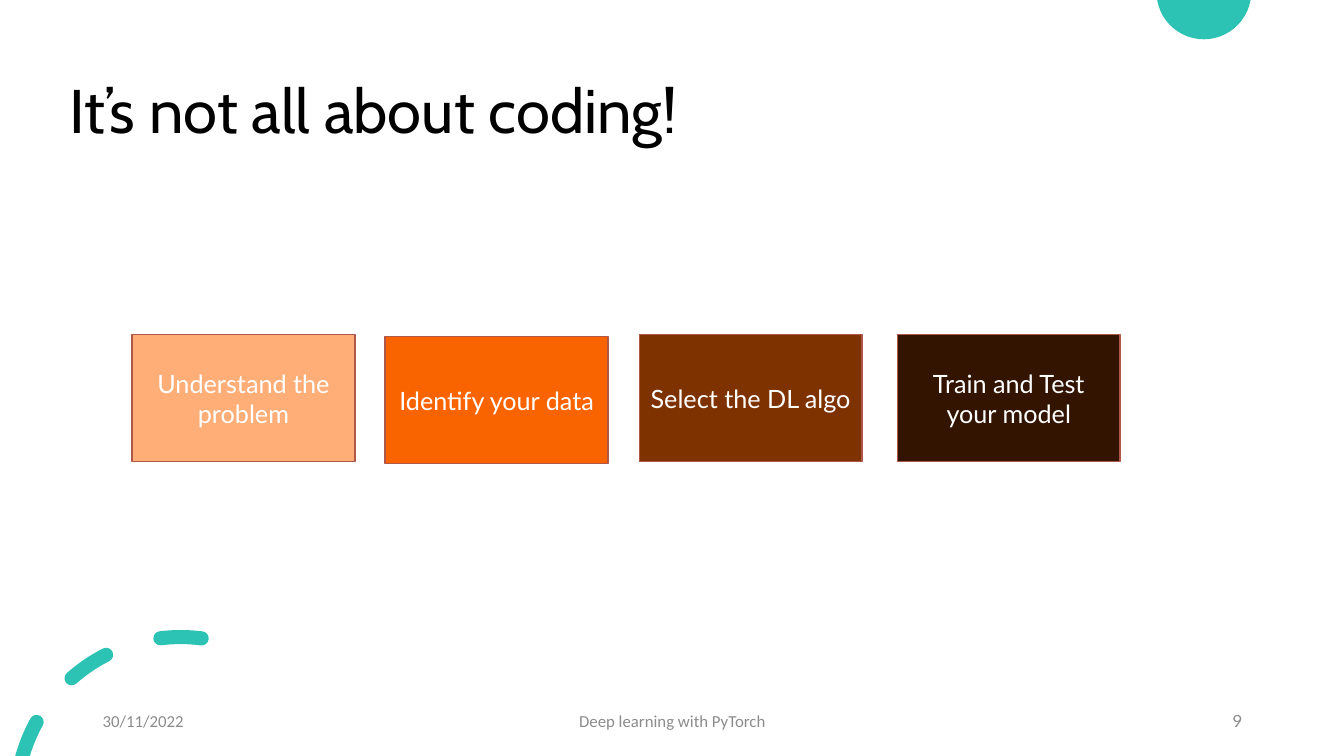
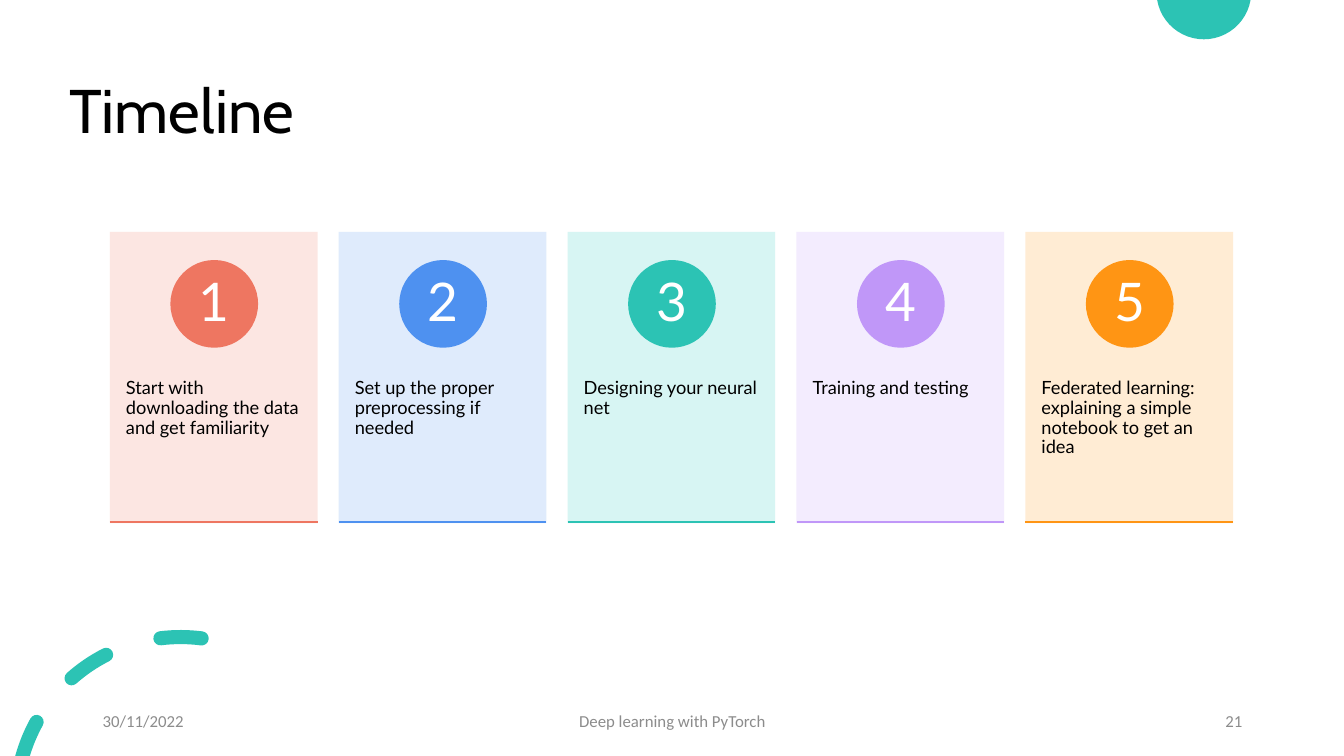
from math import cos, radians, sin, tan

from lxml import etree
from pptx import Presentation
from pptx.dml.color import RGBColor
from pptx.enum.shapes import MSO_CONNECTOR, MSO_SHAPE
from pptx.enum.text import MSO_ANCHOR, MSO_AUTO_SIZE, PP_ALIGN
from pptx.oxml.ns import qn
from pptx.util import Inches, Pt

RECT, OVAL = MSO_SHAPE.RECTANGLE, MSO_SHAPE.OVAL
LINE = MSO_CONNECTOR.STRAIGHT
LEFT, MID, RIGHT = PP_ALIGN.LEFT, PP_ALIGN.CENTER, PP_ALIGN.RIGHT
TOP, CENTER = MSO_ANCHOR.TOP, MSO_ANCHOR.MIDDLE
NO_FIT = MSO_AUTO_SIZE.NONE

WIDE, HIGH = 13.33, 7.5
TEAL, BLACK, WHITE, GREY, RUST = "2CC3B4", "000000", "FFFFFF", "8C8C8C", "B05748"
HEAD, BODY, FOOT = "Cabin", "Lato", "Calibri"

STEPS = [
    (1.31, 3.32, "FFAE78", "Understand the problem"),
    (3.82, 3.34, "FA6400", "Identify your data"),
    (6.34, 3.32, "7D3200", "Select the DL algo"),
    (8.9, 3.32, "321400", "Train and Test your model"),
]
CARDS = [
    ("FCE4DF", "EE7661", "Start with downloading the data and get familiarity"),
    ("DCE9FC", "4E91F0", "Set up the proper preprocessing if needed"),
    ("D3F5F2", TEAL, "Designing your neural net"),
    ("F2EAFE", "C097F8", "Training and testing"),
    ("FFEAD0", "FF9514",
     "Federated learning: explaining a simple notebook to get an idea"),
]
RING, REACH, HALF = (1.79, 7.95), 1.63, 0.07


def tint(code):
    """Turn a hex string into a colour."""
    return RGBColor.from_string(code)


def box(at):
    """Turn numbers into lengths."""
    return [Inches(n) for n in at]


def write(shape, text, size, font, color, align=LEFT, anchor=CENTER,
          inset=(0.1, 0.05), space=1.0):
    """Fill a shape with one styled paragraph."""
    frame = shape.text_frame
    frame.word_wrap = True
    frame.auto_size = NO_FIT
    frame.vertical_anchor = anchor
    frame.margin_left = frame.margin_right = Inches(inset[0])
    frame.margin_top = frame.margin_bottom = Inches(inset[1])
    para = frame.paragraphs[0]
    para.alignment, para.line_spacing = align, space
    run = para.add_run()
    run.text = text
    run.font.size, run.font.name = Pt(size), font
    run.font.color.rgb = tint(color)


def paint(shape, fill, edge=None):
    """Set fill and outline and drop the shadow."""
    shape.shadow.inherit = False
    shape.fill.solid()
    shape.fill.fore_color.rgb = tint(fill)
    if edge:
        shape.line.color.rgb = tint(edge)
        shape.line.width = Pt(1)
    else:
        shape.line.fill.background()


def block(shapes, kind, at, fill, edge=None):
    """Add a painted preset shape."""
    shape = shapes.add_shape(kind, *box(at))
    paint(shape, fill, edge)
    return shape


def fade(shape, share):
    """Make a solid fill partly opaque."""
    for color in shape.element.xpath(".//a:srgbClr"):
        etree.SubElement(color, qn("a:alpha")).set("val", str(share * 1000))


def rule(shapes, left, top, width, color):
    """Add a thin level line."""
    line = shapes.add_connector(LINE, *box((left, top, left + width, top)))
    line.line.color.rgb = tint(color)
    line.line.width = Pt(1)
    etree.SubElement(line.element.spPr, qn("a:effectLst"))


def spot(mid, radius, angle, lean=0):
    """Find a point by clockwise degrees from the top, moved along its tangent."""
    turn = radians(angle)
    return (mid[0] + radius * (sin(turn) + lean * cos(turn)),
            mid[1] - radius * (cos(turn) - lean * sin(turn)))


def arc(mid, radius, start, end, count=1):
    """List the Bezier points of an arc after its first point."""
    span = (end - start) / count
    lean = 4 / 3 * tan(radians(span) / 4)
    points = []
    for i in range(count):
        near, far = start + span * i, start + span * (i + 1)
        points += [spot(mid, radius, near, lean), spot(mid, radius, far, -lean),
                   spot(mid, radius, far)]
    return points


def dash(start, end, cut=None):
    """List a curved band with round ends, or cut flat at its start."""
    outer, inner = cut or (start, start)
    points = [spot(RING, REACH + HALF, outer)]
    points += arc(RING, REACH + HALF, outer, end)
    points += arc(spot(RING, REACH, end), HALF, end, end + 180, 2)
    points += arc(RING, REACH - HALF, end, inner)
    if not cut:
        points += arc(spot(RING, REACH, start), HALF, start + 180, start + 360, 2)
    return points


def bend(trail):
    """Join each three line segments into one curve."""
    lines = trail.findall(qn("a:lnTo"))
    for i in range(0, len(lines), 3):
        curve = trail.makeelement(qn("a:cubicBezTo"))
        lines[i].addprevious(curve)
        for line in lines[i:i + 3]:
            curve.append(line[0])
            trail.remove(line)


def blob(shapes, loops):
    """Add one teal shape made of curved loops."""
    first, *rest = [[box(point) for point in loop] for loop in loops]
    pen = shapes.build_freeform(*first[0])
    pen.add_line_segments(first[1:])
    for loop in rest:
        pen.move_to(*loop[0])
        pen.add_line_segments(loop[1:])
    shape = pen.convert_to_shape()
    bend(shape.element.xpath(".//a:path")[0])
    paint(shape, TEAL)
    return shape


def decor(slide):
    """Give the layout its title place and teal ornaments."""
    layout = slide.slide_layout
    title = layout.placeholders[0]
    title.left, title.top, title.width, title.height = box((0.59, 0.4, 11.5, 1.45))
    hub, size, ends = (11.94, -0.08), 0.47, (99.8, 260.2)
    disc = [spot(hub, size, ends[0])] + arc(hub, size, *ends, 3)
    dashes = [dash(-74, -61.1, (-74.6, -73.2)), dash(-41.5, -26.9), dash(-7, 7.4)]
    for loops in ([disc], dashes):
        layout.shapes.element.append(blob(slide.shapes, loops).element)


def page(slide, title, number, font):
    """Add the title and the footer line."""
    write(slide.shapes.title, title, 44, HEAD, BLACK, space=0.9)
    for left, width, text, face, align in [
        (0.92, 3, "30/11/2022", FOOT, LEFT),
        (4.42, 4.5, "Deep learning with PyTorch", FOOT, MID),
        (9.42, 3, number, font, RIGHT),
    ]:
        note = slide.shapes.add_textbox(*box((left, 6.95, width, 0.4)))
        write(note, text, 12, face, GREY, align)


def step(slide, left, top, fill, text):
    """Add one process box."""
    shape = block(slide.shapes, RECT, (left, top, 2.21, 1.26), fill, RUST)
    write(shape, text, 18, BODY, WHITE, MID)


def card(slide, index, pale, color, text):
    """Add one numbered timeline card."""
    left, width = 1.09 + 2.27 * index, 2.06
    shapes = slide.shapes.add_group_shape().shapes
    fade(block(shapes, RECT, (left, 2.3, width, 2.89), pale), 90)
    note = shapes.add_textbox(*box((left, 3.4, width, 1.73)))
    write(note, text, 13, BODY, BLACK, LEFT, TOP, (0.16, 0.36), 0.9)
    block(shapes, OVAL, (left + 0.6, 2.58, 0.87, 0.87), color)
    digit = shapes.add_textbox(*box((left + 0.73, 2.71, 0.61, 0.61)))
    write(digit, str(index + 1), 38, BODY, WHITE, MID, CENTER, (0.07, 0.01), 0.9)
    rule(shapes, left, 5.18, width, color)


def main():
    """Build both slides and save them."""
    deck = Presentation()
    deck.slide_width, deck.slide_height = Inches(WIDE), Inches(HIGH)
    layout = deck.slide_layouts[5]
    flow = deck.slides.add_slide(layout)
    decor(flow)
    page(flow, "It’s not all about coding!", "9", BODY)
    for item in STEPS:
        step(flow, *item)
    plan = deck.slides.add_slide(layout)
    page(plan, "Timeline", "21", FOOT)
    for index, item in enumerate(CARDS):
        card(plan, index, *item)
    deck.save("out.pptx")


if __name__ == "__main__":
    main()
